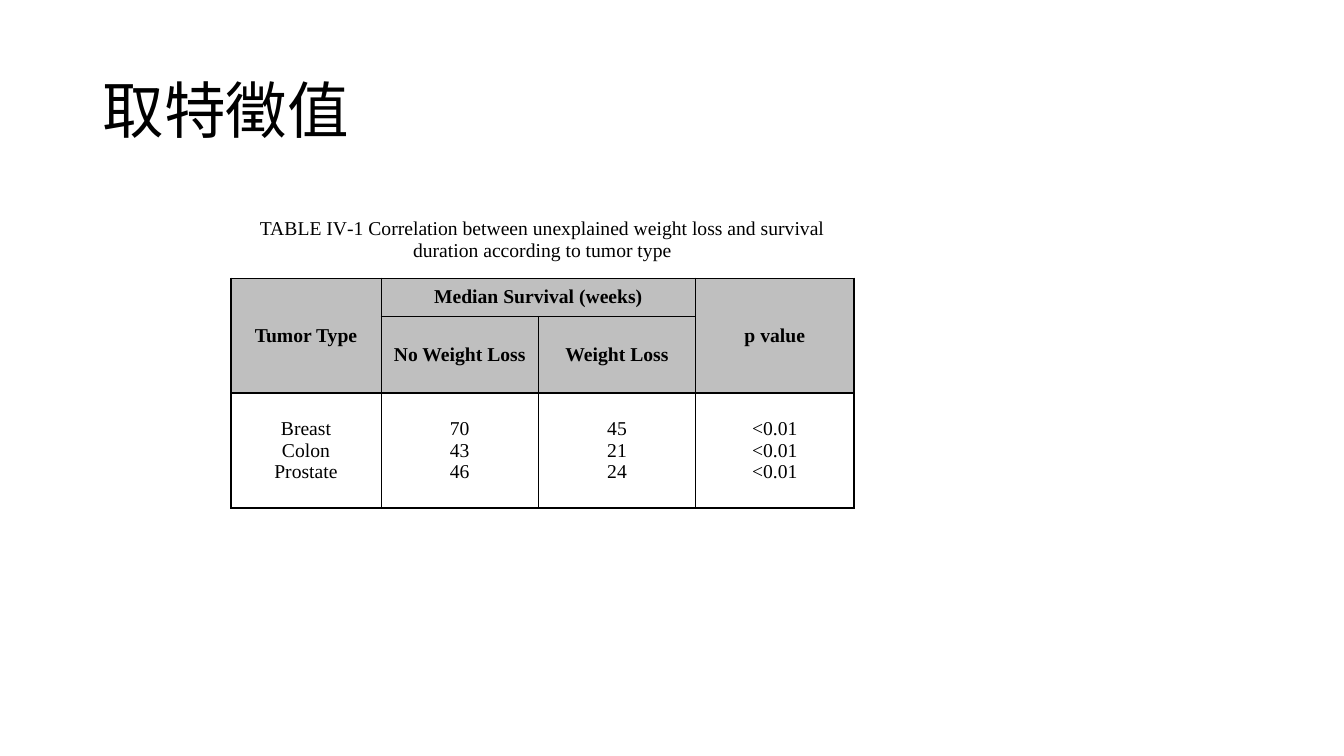
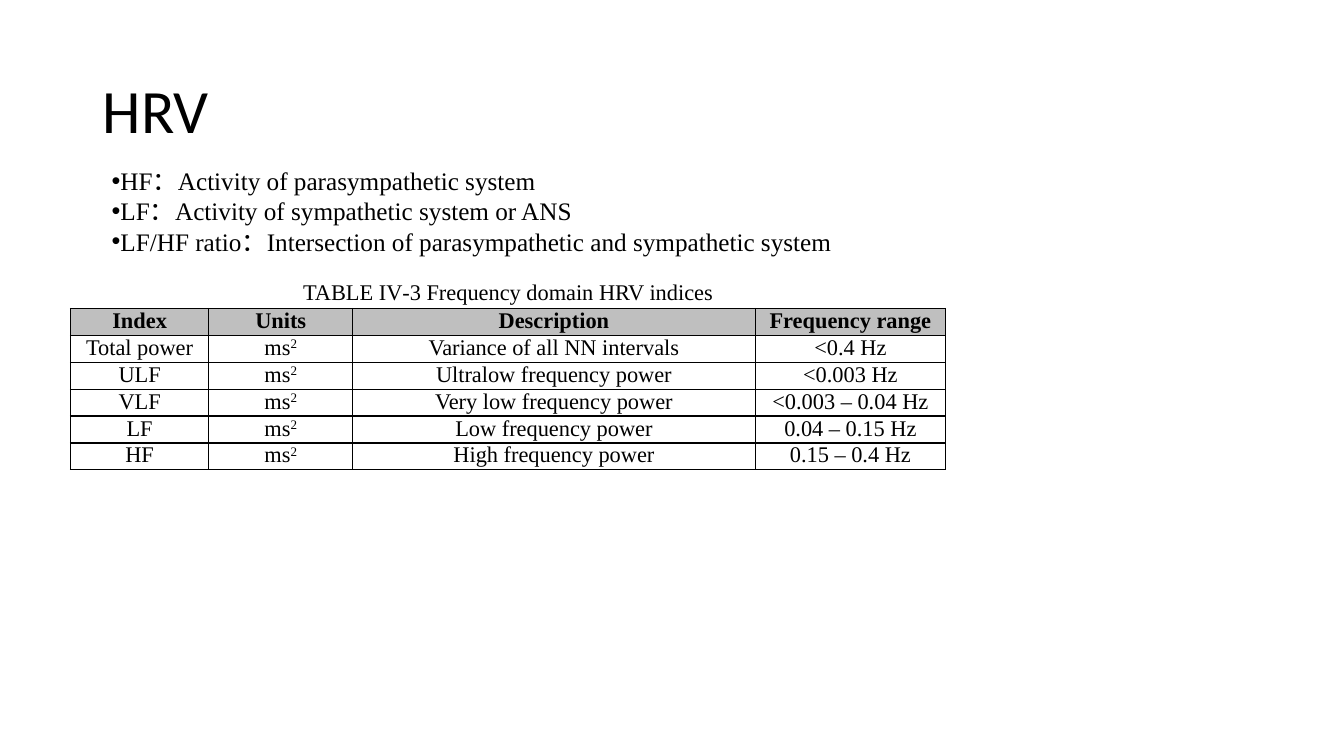
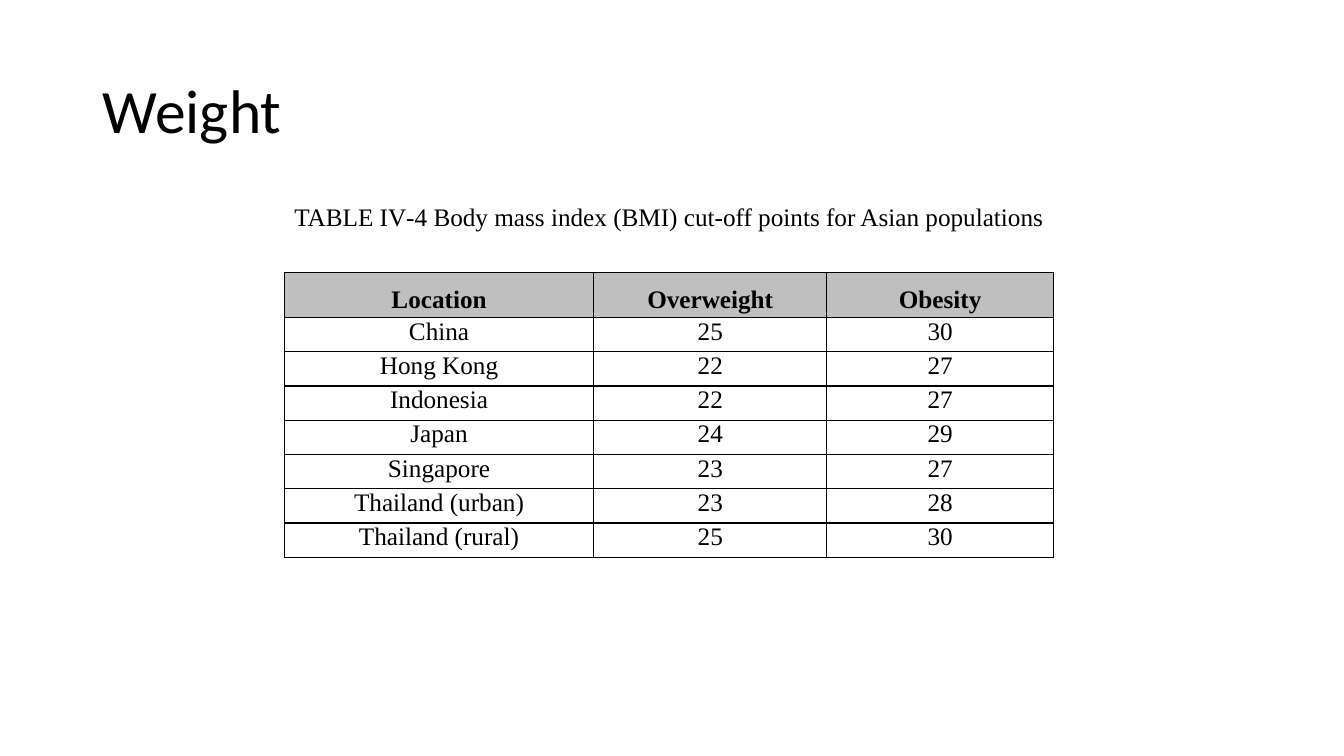
from dataclasses import dataclass

from lxml import etree
from pptx import Presentation
from pptx.dml.color import RGBColor
from pptx.enum.text import MSO_ANCHOR, PP_ALIGN
from pptx.oxml.ns import qn
from pptx.util import Inches, Pt

BLACK = RGBColor(0x00, 0x00, 0x00)
HEADER_GRAY = RGBColor(0xBF, 0xBF, 0xBF)
TITLE_FONT = "Calibri"
BODY_FONT = "Times New Roman"
TOP, MIDDLE = MSO_ANCHOR.TOP, MSO_ANCHOR.MIDDLE
LEFT, CENTER = PP_ALIGN.LEFT, PP_ALIGN.CENTER
BORDER_SIDES = ("L", "R", "T", "B")
BLANK_LAYOUT = 6


@dataclass(frozen=True)
class TableSpec:
    """Row 0 is the caption; header rows follow it. Text after ^ is raised."""
    left: float
    top: float
    widths: tuple[float, ...]
    heights: tuple[float, ...]
    rows: tuple[tuple[str, ...], ...]
    size: int
    anchor: MSO_ANCHOR = TOP
    header_rows: int = 1
    caption_spacing: float = 1.0
    header_spacing: float = 1.0
    merges: tuple[tuple[int, int, int, int], ...] = ()


@dataclass(frozen=True)
class SlideSpec:
    title: str
    table: TableSpec
    bullets: tuple[str, ...] = ()


SURVIVAL = TableSpec(
    left=2.29, top=2, widths=(1.49, 1.56, 1.56, 1.57),
    heights=(0.76, 0.38, 0.76, 1.14), size=14, anchor=MIDDLE, header_rows=2,
    merges=((1, 0, 2, 0), (1, 1, 1, 2), (1, 3, 2, 3)),
    rows=(
        ("TABLE IV‑1 Correlation between unexplained weight loss and survival "
         "duration according to tumor type", "", "", ""),
        ("Tumor Type", "Median Survival (weeks)", "", "p value"),
        ("", "No Weight Loss", "Weight Loss", ""),
        ("Breast\nColon\nProstate", "70\n43\n46", "45\n21\n24",
         "<0.01\n<0.01\n<0.01"),
    ),
)

HRV_INDICES = TableSpec(
    left=0.7, top=2.66, widths=(1.37, 1.43, 3.99, 1.89),
    heights=(0.36,) + (0.24,) * 6, size=16, caption_spacing=1.5,
    rows=(
        ("TABLE IV‑3 Frequency domain HRV indices", "", "", ""),
        ("Index", "Units", "Description", "Frequency range"),
        ("Total power", "ms^2", "Variance of all NN intervals", "<0.4 Hz"),
        ("ULF", "ms^2", "Ultralow frequency power", "<0.003 Hz"),
        ("VLF", "ms^2", "Very low frequency power", "<0.003 – 0.04 Hz"),
        ("LF", "ms^2", "Low frequency power", "0.04 – 0.15 Hz"),
        ("HF", "ms^2", "High frequency power", "0.15 – 0.4 Hz"),
    ),
)

BMI_CUTOFFS = TableSpec(
    left=2.82, top=2.02, widths=(3.07, 2.31, 2.25),
    heights=(0.68, 0.45) + (0.34,) * 7, size=18, header_spacing=1.5,
    rows=(
        ("TABLE IV‑4 Body mass index (BMI) cut-off points for Asian populations",
         "", ""),
        ("Location", "Overweight", "Obesity"),
        ("China", "25", "30"),
        ("Hong Kong", "22", "27"),
        ("Indonesia", "22", "27"),
        ("Japan", "24", "29"),
        ("Singapore", "23", "27"),
        ("Thailand (urban)", "23", "28"),
        ("Thailand (rural)", "25", "30"),
    ),
)

SLIDES = (
    SlideSpec("取特徵值", SURVIVAL),
    SlideSpec("HRV", HRV_INDICES, (
        "HF：Activity of parasympathetic system",
        "LF：Activity of sympathetic system or ANS",
        "LF/HF ratio：Intersection of parasympathetic and sympathetic system",
    )),
    SlideSpec("Weight", BMI_CUTOFFS),
)


def format_text(frame, font: str, size: int, align: PP_ALIGN,
                spacing: float = 1.0, bold: bool = False) -> None:
    for paragraph in frame.paragraphs:
        paragraph.alignment = align
        paragraph.line_spacing = spacing
        for run in paragraph.runs:
            run.font.name = font
            run.font.size = Pt(size)
            run.font.bold = bold
            run.font.color.rgb = BLACK


def add_title(slide, title: str) -> None:
    box = slide.shapes.add_textbox(Inches(0.92), Inches(0.4), Inches(11.5), Inches(1.45))
    frame = box.text_frame
    frame.word_wrap = True
    frame.vertical_anchor = MIDDLE
    frame.text = title
    format_text(frame, TITLE_FONT, 44, LEFT, spacing=0.9)


def add_bullets(slide, bullets: tuple[str, ...]) -> None:
    box = slide.shapes.add_textbox(Inches(0.81), Inches(1.57), Inches(9.77), Inches(1.68))
    frame = box.text_frame
    frame.word_wrap = True
    frame.vertical_anchor = TOP
    frame.margin_top = Inches(0.07)
    frame.text = "\n".join(bullets)
    format_text(frame, BODY_FONT, 18, LEFT)
    for paragraph in frame.paragraphs:
        properties = paragraph._p.get_or_add_pPr()
        properties.set("marL", "0")
        properties.set("indent", str(Inches(0.2)))
        etree.SubElement(properties, qn("a:buFont")).set("typeface", "Arial")
        etree.SubElement(properties, qn("a:buChar")).set("char", "•")


def set_borders(cell, visible: tuple[str, ...]) -> None:
    properties = cell._tc.get_or_add_tcPr()
    for side in BORDER_SIDES:
        line = etree.SubElement(properties, qn(f"a:ln{side}"), w=str(Pt(1)))
        if side in visible:
            fill = etree.SubElement(line, qn("a:solidFill"))
            etree.SubElement(fill, qn("a:srgbClr"), val=str(BLACK))
        else:
            etree.SubElement(line, qn("a:noFill"))


def fill_cell(cell, text: str, row: int, spec: TableSpec) -> None:
    is_caption = row == 0
    is_header = 1 <= row <= spec.header_rows
    set_borders(cell, ("B",) if is_caption else BORDER_SIDES)
    if is_header:
        cell.fill.solid()
        cell.fill.fore_color.rgb = HEADER_GRAY
    else:
        cell.fill.background()
    cell.margin_left = cell.margin_right = Inches(0.07)
    cell.margin_top = cell.margin_bottom = 0
    cell.vertical_anchor = spec.anchor

    base, _, raised = text.partition("^")
    cell.text_frame.text = base
    if raised:
        exponent = cell.text_frame.paragraphs[0].add_run()
        exponent.text = raised
        exponent.font._element.set("baseline", "30000")
    spacing = (spec.caption_spacing if is_caption
               else spec.header_spacing if is_header else 1.0)
    format_text(cell.text_frame, BODY_FONT, spec.size, CENTER, spacing, is_header)


def add_data_table(slide, spec: TableSpec) -> None:
    table = slide.shapes.add_table(
        len(spec.heights), len(spec.widths), Inches(spec.left), Inches(spec.top),
        Inches(sum(spec.widths)), Inches(sum(spec.heights))).table
    table.first_row = table.horz_banding = False
    for column, width in zip(table.columns, spec.widths):
        column.width = Inches(width)
    for row, height in zip(table.rows, spec.heights):
        row.height = Inches(height)
    for row_index, texts in enumerate(spec.rows):
        for column_index, text in enumerate(texts):
            fill_cell(table.cell(row_index, column_index), text, row_index, spec)

    # The caption spans the full width
    caption_span = (0, 0, 0, len(spec.widths) - 1)
    for top, left, bottom, right in (caption_span, *spec.merges):
        table.cell(top, left).merge(table.cell(bottom, right))


def main() -> None:
    deck = Presentation()
    deck.slide_width, deck.slide_height = Inches(13.33), Inches(7.5)
    for spec in SLIDES:
        slide = deck.slides.add_slide(deck.slide_layouts[BLANK_LAYOUT])
        add_title(slide, spec.title)
        add_data_table(slide, spec.table)
        if spec.bullets:
            add_bullets(slide, spec.bullets)
    deck.save("out.pptx")


if __name__ == "__main__":
    main()
